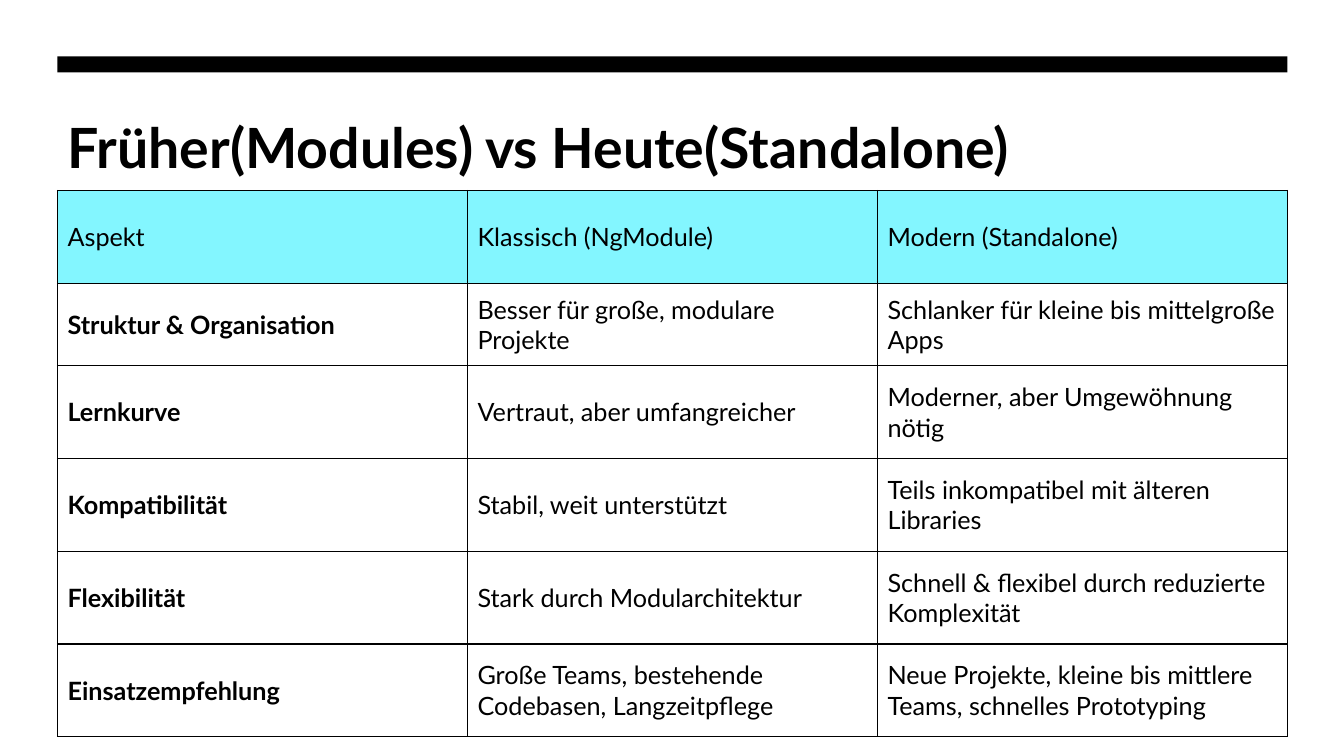
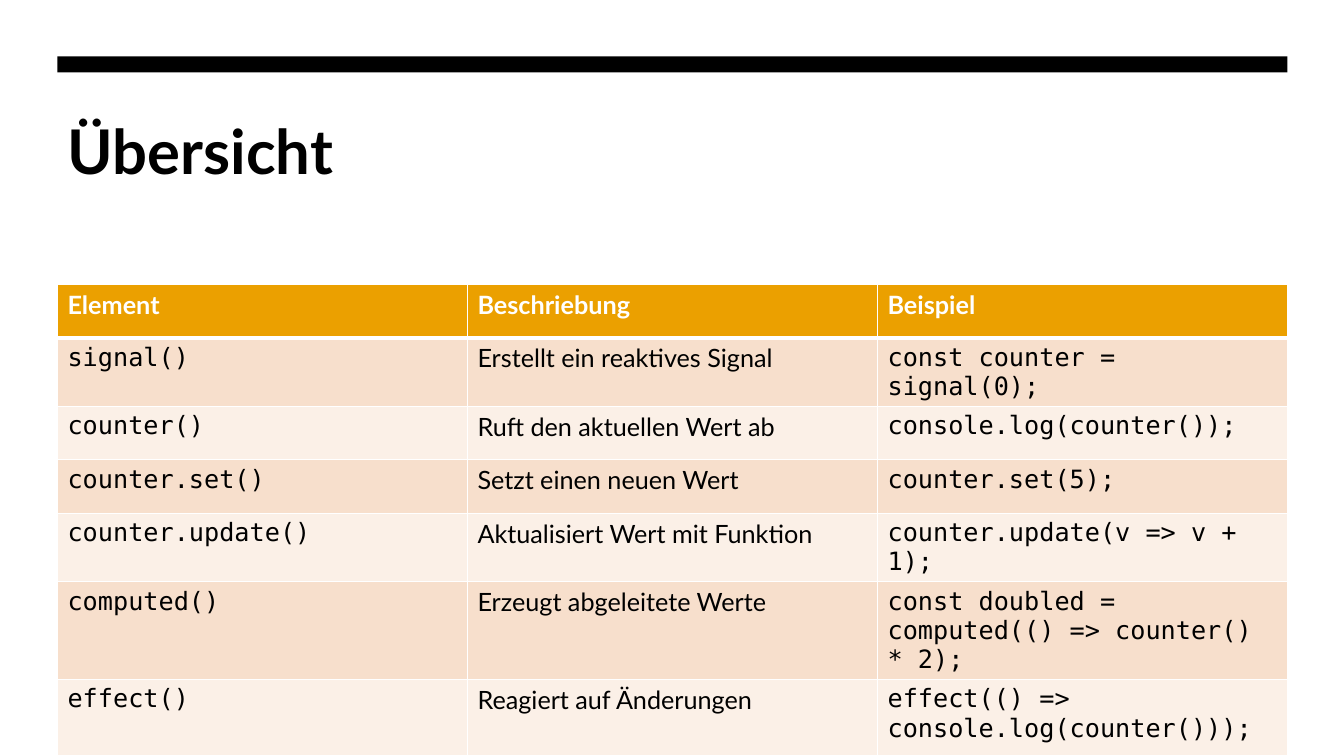
from lxml import etree
from pptx import Presentation
from pptx import util as u
from pptx.dml.color import RGBColor
from pptx.enum import shapes, text
from pptx.oxml import ns

BLACK = RGBColor(0x00, 0x00, 0x00)
WHITE = RGBColor(0xFF, 0xFF, 0xFF)
CYAN = RGBColor(0x83, 0xF6, 0xFF)
AMBER = RGBColor(0xEB, 0xA0, 0x00)
PEACH = RGBColor(0xF7, 0xDF, 0xCC)
CREAM = RGBColor(0xFB, 0xF0, 0xE7)
SANS, MONO = "Lato", "DejaVu Sans Mono"
LEFT, WIDE = u.Inches(0.57), u.Inches(12.2)


def write(frame, words, size, font, color, bold):
    run = frame.paragraphs[0].add_run()
    run.text = words
    run.font.size = u.Pt(size)
    run.font.name = font
    run.font.color.rgb = color
    run.font.bold = bold


def edge(cell, side, color, width):
    props = cell._tc.get_or_add_tcPr()
    line = etree.SubElement(props, ns.qn("a:ln" + side), w=str(u.Pt(width)))
    fill = etree.SubElement(line, ns.qn("a:solidFill"))
    etree.SubElement(fill, ns.qn("a:srgbClr"), val=str(color))


# Slide content and the look of each table
pages = [
    dict(
        title="Früher(Modules) vs Heute(Standalone)", size=39.6, tall=0.83,
        top=1.89, heights=[0.92, 0.82] + [0.92] * 4,
        anchor=text.MSO_ANCHOR.MIDDLE, line=BLACK, rule=1,
        head=CYAN, ink=BLACK, strong=False, bands=[None],
        fonts=[SANS] * 3, bolds=[True, False, False],
        rows=[
            ["Aspekt", "Klassisch (NgModule)", "Modern (Standalone)"],
            ["Struktur & Organisation", "Besser für große, modulare Projekte",
             "Schlanker für kleine bis mittelgroße Apps"],
            ["Lernkurve", "Vertraut, aber umfangreicher",
             "Moderner, aber Umgewöhnung nötig"],
            ["Kompatibilität", "Stabil, weit unterstützt",
             "Teils inkompatibel mit älteren Libraries"],
            ["Flexibilität", "Stark durch Modularchitektur",
             "Schnell & flexibel durch reduzierte Komplexität"],
            ["Einsatzempfehlung",
             "Große Teams, bestehende Codebasen, Langzeitpflege",
             "Neue Projekte, kleine bis mittlere Teams, schnelles Prototyping"],
        ],
    ),
    dict(
        title="Übersicht", size=44, tall=1.6,
        top=2.82, heights=[0.53] * 5 + [0.91, 0.75],
        anchor=text.MSO_ANCHOR.TOP, line=WHITE, rule=3,
        head=AMBER, ink=WHITE, strong=True, bands=[PEACH, CREAM],
        fonts=[MONO, SANS, MONO], bolds=[False] * 3,
        rows=[
            ["Element", "Beschriebung", "Beispiel"],
            ["signal()", "Erstellt ein reaktives Signal",
             "const counter = signal(0);"],
            ["counter()", "Ruft den aktuellen Wert ab",
             "console.log(counter());"],
            ["counter.set()", "Setzt einen neuen Wert", "counter.set(5);"],
            ["counter.update()", "Aktualisiert Wert mit Funktion",
             "counter.update(v => v + 1);"],
            ["computed()", "Erzeugt abgeleitete Werte",
             "const doubled = computed(() => counter() * 2);"],
            ["effect()", "Reagiert auf Änderungen",
             "effect(() => console.log(counter()));"],
        ],
    ),
]

deck = Presentation()
deck.slide_width, deck.slide_height = u.Inches(13.33), u.Inches(7.5)

for page in pages:
    slide = deck.slides.add_slide(deck.slide_layouts[5])

    # Black band
    band = slide.shapes.add_shape(
        shapes.MSO_SHAPE.RECTANGLE, LEFT, u.Inches(0.56), WIDE, u.Inches(0.16))
    band.shadow.inherit = False
    band.fill.solid()
    band.fill.fore_color.rgb = BLACK
    band.line.fill.background()

    # Title
    title = slide.shapes.title
    title.left, title.top = LEFT, u.Inches(1.07)
    title.width, title.height = WIDE, u.Inches(page["tall"])
    frame = title.text_frame
    frame.auto_size = text.MSO_AUTO_SIZE.NONE
    frame.vertical_anchor = text.MSO_ANCHOR.TOP
    frame.paragraphs[0].alignment = text.PP_ALIGN.LEFT
    write(frame, page["title"], page["size"], SANS, BLACK, True)

    # Table
    rows = page["rows"]
    table = slide.shapes.add_table(
        len(rows), 3, LEFT, u.Inches(page["top"]), WIDE,
        u.Inches(sum(page["heights"]))).table
    table.first_row = table.horz_banding = False
    for r, row in enumerate(rows):
        table.rows[r].height = u.Inches(page["heights"][r])
        for c, words in enumerate(row):
            cell = table.cell(r, c)
            cell.vertical_anchor = page["anchor"]
            for side in "LRTB":
                ruled = (r, side) in [(0, "B"), (1, "T")]
                edge(cell, side, page["line"], page["rule"] if ruled else 1)
            if r == 0:
                fill, font = page["head"], SANS
                ink, bold = page["ink"], page["strong"]
            else:
                fill = page["bands"][(r - 1) % len(page["bands"])]
                font, ink, bold = page["fonts"][c], BLACK, page["bolds"][c]
            if fill is None:
                cell.fill.background()
            else:
                cell.fill.solid()
                cell.fill.fore_color.rgb = fill
            write(cell.text_frame, words, 18, font, ink, bold)

deck.save("out.pptx")
